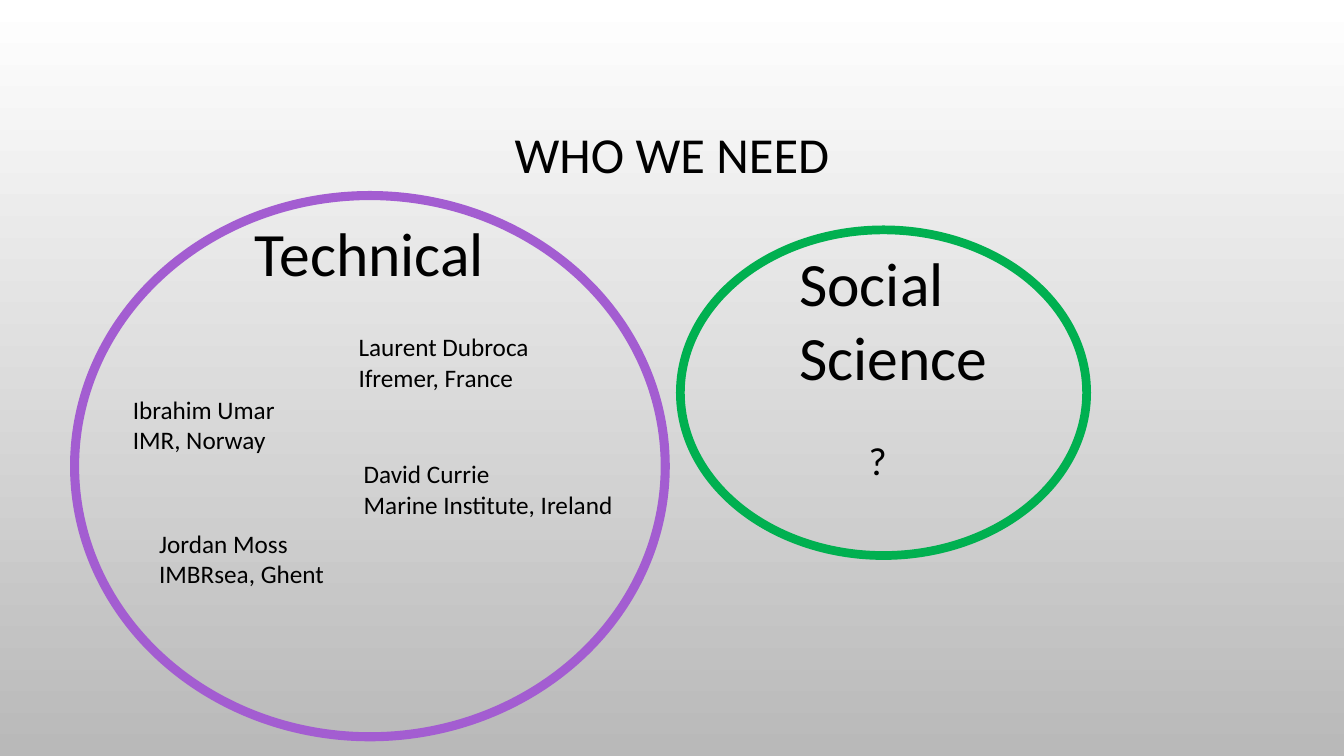
from pptx import Presentation
from pptx.dml.color import RGBColor
from pptx.enum.shapes import MSO_SHAPE
from pptx.enum.text import MSO_ANCHOR, PP_ALIGN
from pptx.util import Pt

OVAL = MSO_SHAPE.OVAL
LEFT, CENTER = PP_ALIGN.LEFT, PP_ALIGN.CENTER
TOP, MIDDLE = MSO_ANCHOR.TOP, MSO_ANCHOR.MIDDLE


def color(code):
    return RGBColor.from_string(code)


def write(shape, text, size=18, align=LEFT, anchor=TOP, space=1.0):
    frame = shape.text_frame
    frame.word_wrap = True
    frame.vertical_anchor = anchor
    frame.text = text
    for para in frame.paragraphs:
        para.alignment = align
        para.line_spacing = space
        para.font.name = "Calibri"
        para.font.size = Pt(size)
        para.font.color.rgb = color("000000")


deck = Presentation()
deck.slide_width, deck.slide_height = Pt(960), Pt(540)
slide = deck.slides.add_slide(deck.slide_layouts[5])

# Background, white at the top to grey at the bottom
fill = slide.background.fill
fill.gradient()
fill.gradient_angle = 270
for stop, (place, code) in zip(fill.gradient_stops, [(0, "FFFFFF"), (1, "B9B9B9")]):
    stop.position = place
    stop.color.rgb = color(code)

# Title
title = slide.shapes.title
title.left, title.top, title.width, title.height = Pt(72), Pt(49), Pt(816), Pt(126)
write(title, "WHO WE NEED", size=36, align=CENTER, anchor=MIDDLE, space=0.9)

# Group rings
rings = [
    (53.3, 139.7, 421.9, 386.6, "A35DD1", 6.5),
    (486, 164.2, 290.2, 232.6, "00B050", 6.25),
]
for x, y, w, h, code, weight in rings:
    ring = slide.shapes.add_shape(OVAL, Pt(x), Pt(y), Pt(w), Pt(h))
    ring.shadow.inherit = False
    ring.fill.background()
    ring.line.color.rgb = color(code)
    ring.line.width = Pt(weight)

# Group names and members
labels = [
    (175, 149.8, 200, 60.5, "Technical", 44),
    (563.8, 171.4, 206, 113.8, "Social Science", 44),
    (613.4, 308.2, 35.3, 41, "?", 28),
    (249, 233.3, 157.7, 51, "Laurent Dubroca\nIfremer, France", 18),
    (87.8, 277.9, 157.7, 51, "Ibrahim Umar\nIMR, Norway", 18),
    (252.7, 324, 215.3, 51, "David Currie\nMarine Institute, Ireland", 18),
    (106.6, 373.7, 157.7, 51, "Jordan Moss\nIMBRsea, Ghent", 18),
]
for x, y, w, h, text, size in labels:
    box = slide.shapes.add_textbox(Pt(x), Pt(y), Pt(w), Pt(h))
    write(box, text, size=size)

deck.save("out.pptx")
